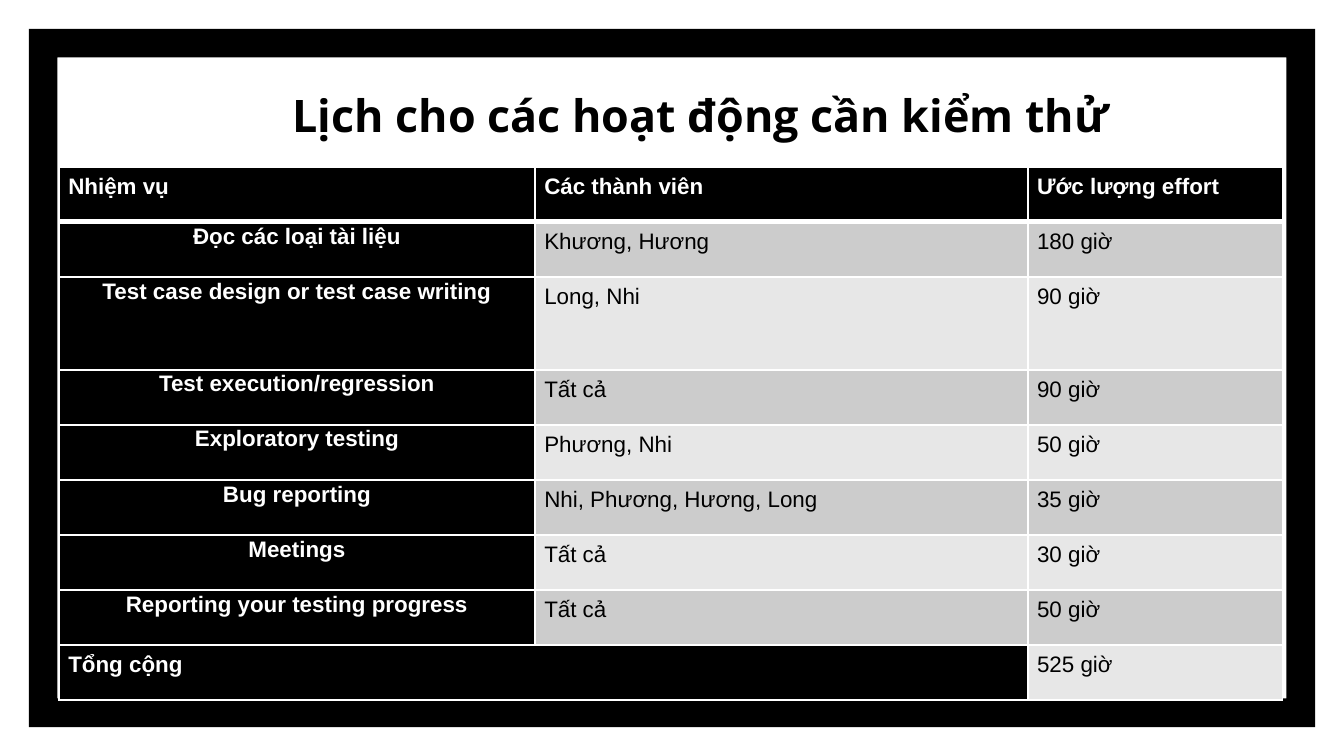
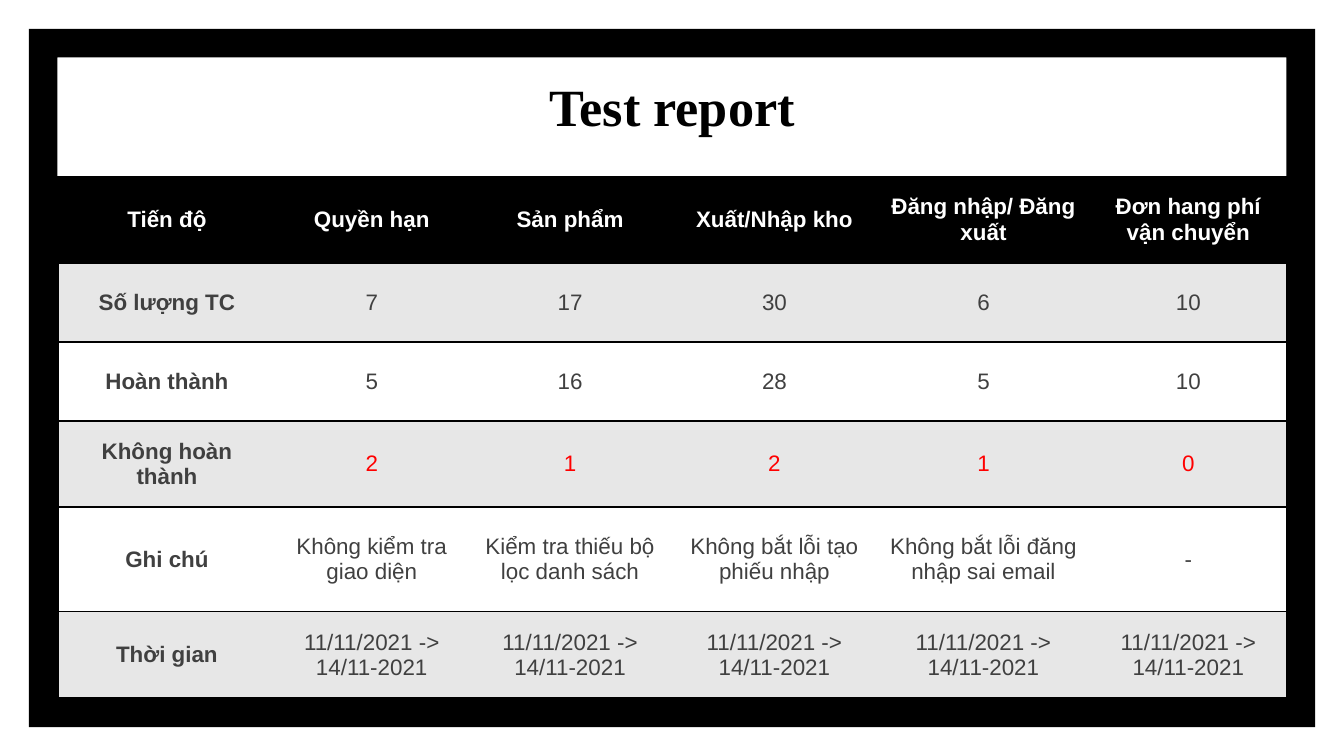
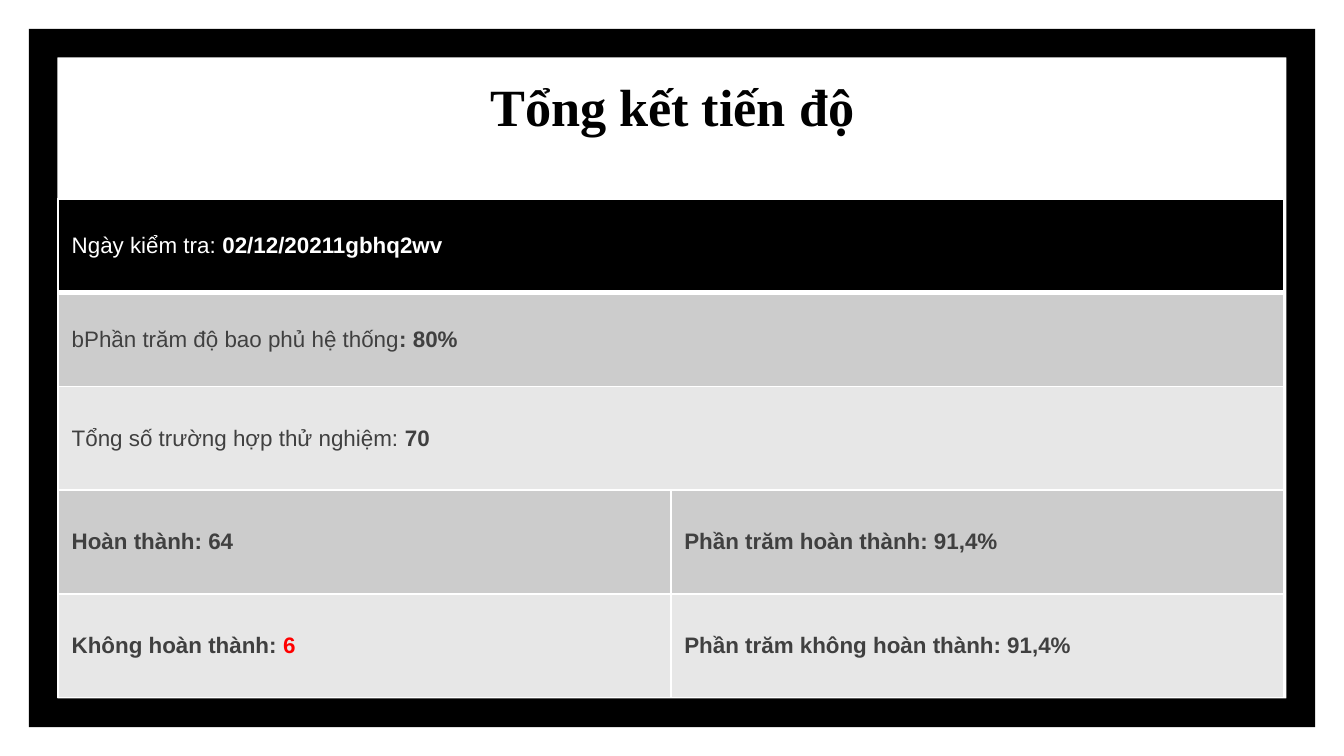
from lxml import etree
from pptx import Presentation
from pptx import util as u
from pptx.dml.color import RGBColor
from pptx.enum import shapes, text
from pptx.oxml import ns

Pt = u.Pt

# Shared look
BLACK = RGBColor(0x00, 0x00, 0x00)
WHITE = RGBColor(0xFF, 0xFF, 0xFF)
CHARCOAL = RGBColor(0x40, 0x40, 0x40)
RED = RGBColor(0xFF, 0x00, 0x00)
DARK_BAND = RGBColor(0xCC, 0xCC, 0xCC)
LIGHT_BAND = RGBColor(0xE7, 0xE7, 0xE7)

SLIDE_W, SLIDE_H = 720, 405
FRAME_MARGIN = 15.5
TITLE_LEFT, TITLE_TOP = 138.4, 39.6
BODY_FONT, BODY_SIZE = "Arial", 12
LEFT, CENTER = text.PP_ALIGN.LEFT, text.PP_ALIGN.CENTER
TOP, MIDDLE, BOTTOM = (text.MSO_ANCHOR.TOP, text.MSO_ANCHOR.MIDDLE,
                       text.MSO_ANCHOR.BOTTOM)

# Schedule: task, members, effort
SCHEDULE = [
    ("Nhiệm vụ", "Các thành viên", "Ước lượng effort"),
    ("Đọc các loại tài liệu", "Khương, Hương", "180 giờ"),
    ("Test case design or test case writing", "Long, Nhi", "90 giờ"),
    ("Test execution/regression", "Tất cả", "90 giờ"),
    ("Exploratory testing", "Phương, Nhi", "50 giờ"),
    ("Bug reporting", "Nhi, Phương, Hương, Long", "35 giờ"),
    ("Meetings", "Tất cả", "30 giờ"),
    ("Reporting your testing progress", "Tất cả", "50 giờ"),
    ("Tổng cộng", "", "525 giờ"),
]

# Report: progress by feature
REPORT = [
    ("Tiến độ", "Quyền hạn", "Sản phẩm", "Xuất/Nhập kho",
     "Đăng nhập/ Đăng xuất", "Đơn hang phí vận chuyển"),
    ("Số lượng TC", "7", "17", "30", "6", "10"),
    ("Hoàn thành", "5", "16", "28", "5", "10"),
    ("Không hoàn thành", "2", "1", "2", "1", "0"),
    ("Ghi chú", "Không kiểm tra giao diện", "Kiểm tra thiếu bộ lọc danh sách",
     "Không bắt lỗi tạo phiếu nhập", "Không bắt lỗi đăng nhập sai email", "-"),
    ("Thời gian",) + ("11/11/2021 -> 14/11-2021",) * 5,
]
FAILED_ROW = 3

# Summary: each cell is a list of (text, colour, bold)
SUMMARY = [
    [[("Ngày kiểm tra: ", WHITE, False), ("02/12/20211gbhq2wv", WHITE, True)]],
    [[("bPhần trăm độ bao phủ hệ thống", CHARCOAL, False),
      (": 80%", CHARCOAL, True)]],
    [[("Tổng số trường hợp thử nghiệm: ", CHARCOAL, False),
      ("70", CHARCOAL, True)]],
    [[("Hoàn thành: 64", CHARCOAL, True)],
     [("Phần trăm hoàn thành: 91,4%", CHARCOAL, True)]],
    [[("Không hoàn thành: ", CHARCOAL, True), ("6", RED, True)],
     [("Phần trăm không hoàn thành: 91,4%", CHARCOAL, True)]],
]


def style_font(font, color, bold):
    font.color.rgb = color
    font.bold = bold


def add_framed_slide(prs):
    slide = prs.slides.add_slide(prs.slide_layouts[6])
    frame = slide.shapes.add_shape(
        shapes.MSO_SHAPE.FRAME, Pt(FRAME_MARGIN), Pt(FRAME_MARGIN),
        Pt(SLIDE_W - 2 * FRAME_MARGIN), Pt(SLIDE_H - 2 * FRAME_MARGIN))
    frame.adjustments[0] = 0.041
    frame.shadow.inherit = False
    frame.fill.solid()
    frame.fill.fore_color.rgb = BLACK
    frame.line.fill.background()
    return slide


def add_title(slide, title, width=443.5, height=41, size=28,
              font="Times New Roman", anchor=BOTTOM):
    box = slide.shapes.add_textbox(Pt(TITLE_LEFT), Pt(TITLE_TOP),
                                   Pt(width), Pt(height)).text_frame
    box.word_wrap = True
    box.vertical_anchor = anchor
    box.margin_left = box.margin_right = Pt(7.2)
    box.margin_top = box.margin_bottom = Pt(7.2)
    heading = box.paragraphs[0]
    heading.text = title
    heading.alignment = CENTER
    heading.font.name = font
    heading.font.size = Pt(size)
    style_font(heading.font, BLACK, True)


def add_grid(slide, left, top, widths, heights):
    grid = slide.shapes.add_table(
        len(heights), len(widths), Pt(left), Pt(top),
        Pt(sum(widths)), Pt(sum(heights))).table
    grid.first_row = grid.horz_banding = False
    for column, width in zip(grid.columns, widths):
        column.width = Pt(width)
    for row, height in zip(grid.rows, heights):
        row.height = Pt(height)
    return grid


def set_borders(cell, color, left=1, right=1, top=1, bottom=1):
    """Draw the four edges; a width of 0 hides an edge."""
    props = cell._tc.get_or_add_tcPr()
    edges = (("lnL", left), ("lnR", right), ("lnT", top), ("lnB", bottom))
    for tag, width in edges:
        edge = etree.SubElement(props, ns.qn(f"a:{tag}"), w=str(Pt(width)))
        if width:
            fill = etree.SubElement(edge, ns.qn("a:solidFill"))
            etree.SubElement(fill, ns.qn("a:srgbClr"), val=str(color))
        else:
            etree.SubElement(edge, ns.qn("a:noFill"))


def fill_cell(cell, color):
    cell.fill.solid()
    cell.fill.fore_color.rgb = color


def write_cell(cell, parts, align=LEFT, anchor=MIDDLE):
    cell.vertical_anchor = anchor
    line = cell.text_frame.paragraphs[0]
    line.alignment = align
    line.font.name = BODY_FONT
    line.font.size = Pt(BODY_SIZE)
    for words, color, bold in parts:
        run = line.add_run()
        run.text = words
        if len(parts) == 1:
            style_font(line.font, color, bold)
        else:
            style_font(run.font, color, bold)
    return line


def band(row):
    return DARK_BAND if row % 2 else LIGHT_BAND


def ruled_white(cell, row):
    """White rules, with a thick one under the header row."""
    set_borders(cell, WHITE, top=3 if row == 1 else 1,
                bottom=3 if row == 0 else 1)


def add_schedule(slide):
    total = len(SCHEDULE) - 1
    heights = [29.5] * len(SCHEDULE)
    heights[2] = 49.8
    grid = add_grid(slide, 31.6, 89.4, [255, 264, 136.5], heights)
    grid.cell(total, 0).merge(grid.cell(total, 1))
    for r, entries in enumerate(SCHEDULE):
        for c, words in enumerate(entries):
            cell = grid.cell(r, c)
            dark = r == 0 or c == 0 or cell.is_spanned
            ruled_white(cell, r)
            fill_cell(cell, BLACK if dark else band(r))
            if cell.is_spanned:
                continue
            cell.margin_left = cell.margin_right = Pt(5)
            cell.margin_top = cell.margin_bottom = 0
            task = c == 0 and 0 < r < total
            line = write_cell(cell, [(words, WHITE if dark else BLACK, dark)],
                              CENTER if task else LEFT, TOP)
            line.line_spacing = 1.07 if task else 1.3
            if task:
                line.space_after = Pt(7.2)


def add_report(slide):
    grid = add_grid(slide, 31.2, 94.6, [116.5, 103, 109.5, 109.5, 114.5, 105],
                    [46.2, 42.4, 42.4, 46.2, 56, 46.2])
    last = len(REPORT[0]) - 1
    for r, entries in enumerate(REPORT):
        for c, words in enumerate(entries):
            cell = grid.cell(r, c)
            set_borders(cell, BLACK, left=int(c == 0), right=int(c == last))
            if r == 0:
                fill, ink = BLACK, WHITE
            else:
                fill = LIGHT_BAND if r % 2 else WHITE
                ink = RED if r == FAILED_ROW and c else CHARCOAL
            fill_cell(cell, fill)
            write_cell(cell, [(words, ink, r == 0 or c == 0)], CENTER)


def add_summary(slide):
    grid = add_grid(slide, 31.2, 106.6, [328.2] * 2,
                    [50.2] * 2 + [55.6] * 3)
    for r, entries in enumerate(SUMMARY):
        if len(entries) == 1:
            grid.cell(r, 0).merge(grid.cell(r, 1))
        for c in range(2):
            ruled_white(grid.cell(r, c), r)
            fill_cell(grid.cell(r, c), band(r) if r else BLACK)
        for c, parts in enumerate(entries):
            write_cell(grid.cell(r, c), parts)


def main():
    prs = Presentation()
    prs.slide_width, prs.slide_height = Pt(SLIDE_W), Pt(SLIDE_H)

    # Test schedule
    slide = add_framed_slide(prs)
    add_title(slide, "Lịch cho các hoạt động cần kiểm thử", width=473.8,
              height=75.6, size=24, font="Open Sans", anchor=TOP)
    add_schedule(slide)

    # Test report
    slide = add_framed_slide(prs)
    add_title(slide, "Test report")
    add_report(slide)

    # Progress summary
    slide = add_framed_slide(prs)
    add_title(slide, "Tổng kết tiến độ")
    add_summary(slide)

    prs.save("out.pptx")


if __name__ == "__main__":
    main()
